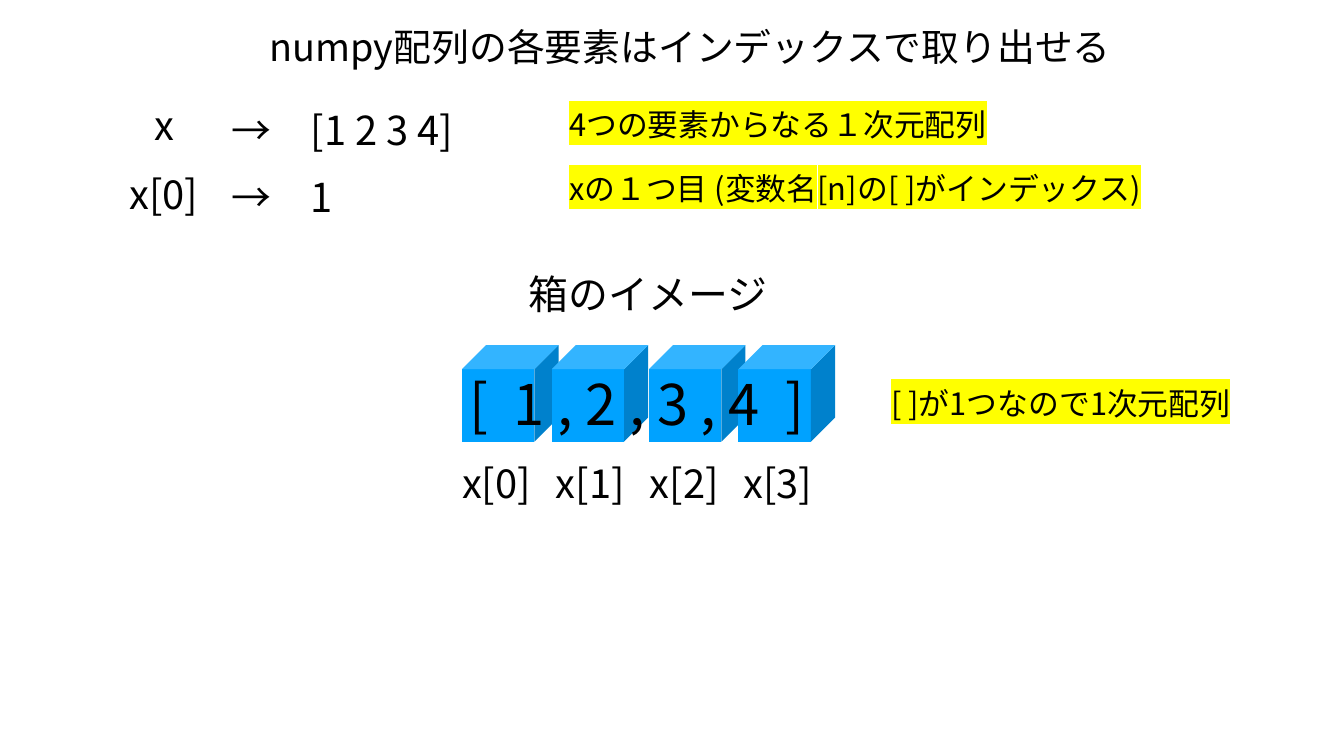
import dataclasses

import lxml.etree
import pptx
import pptx.dml.color
import pptx.enum.shapes
import pptx.enum.text
import pptx.oxml.ns
import pptx.util

PX = 12700


@dataclasses.dataclass(frozen=True)
class Theme:
    """Hold the colours, font and type sizes."""
    font: str = "Noto Sans CJK JP"
    ink: str = "000000"
    mark: str = "FFFF00"
    cube: str = "00A2FF"
    title: int = 54
    body: int = 57
    note: int = 44
    big: int = 80


THEME = Theme()


def color(code):
    """Turn a hex code into a colour."""
    return pptx.dml.color.RGBColor.from_string(code)


def scale(*sides):
    """Turn px lengths into EMU."""
    return [side * PX for side in sides]


def add_text(slide, text, rect, size, tight=False, center=False):
    """Add a text box and return its run."""
    box = slide.shapes.add_textbox(*scale(*rect))
    frame = box.text_frame
    frame.text = text
    frame.word_wrap = True
    frame.auto_size = pptx.enum.text.MSO_AUTO_SIZE.SHAPE_TO_FIT_TEXT
    if tight:
        frame.vertical_anchor = pptx.enum.text.MSO_ANCHOR.MIDDLE
        frame.margin_left = frame.margin_right = 4 * PX
        frame.margin_top = frame.margin_bottom = 4 * PX
    para = frame.paragraphs[0]
    if center:
        para.alignment = pptx.enum.text.PP_ALIGN.CENTER
    run = para.runs[0]
    run.font.size = pptx.util.Pt(size)
    run.font.color.rgb = color(THEME.ink)
    run.font.name = THEME.font
    east = lxml.etree.SubElement(run.font._element, pptx.oxml.ns.qn("a:ea"))
    east.set("typeface", THEME.font)
    return run


def add_note(slide, text, rect):
    """Add a note with a marker highlight."""
    run = add_text(slide, text, rect, THEME.note, tight=True)
    mark = lxml.etree.Element(pptx.oxml.ns.qn("a:highlight"))
    tint = lxml.etree.SubElement(mark, pptx.oxml.ns.qn("a:srgbClr"))
    tint.set("val", THEME.mark)
    run.font._element.find(pptx.oxml.ns.qn("a:latin")).addprevious(mark)


def add_cube(slide, left):
    """Add one box of the array."""
    kind = pptx.enum.shapes.MSO_SHAPE.CUBE
    cube = slide.shapes.add_shape(kind, *scale(left, 493, 138, 138))
    cube.shadow.inherit = False
    cube.fill.solid()
    cube.fill.fore_color.rgb = color(THEME.cube)
    cube.line.fill.background()


def main():
    """Build the slide and save it."""
    deck = pptx.Presentation()
    deck.slide_width, deck.slide_height = scale(1920, 1080)
    slide = deck.slides.add_slide(deck.slide_layouts[6])

    add_text(slide, "numpy配列の各要素はインデックスで取り出せる",
             (241, 30, 1490, 73), THEME.title, tight=True, center=True)

    add_text(slide, "x", (217, 140, 100, 77), THEME.body, tight=True)
    add_text(slide, "→　[1 2 3 4]", (323, 147, 456, 76), THEME.body)
    add_note(slide, "4つの要素からなる１次元配列", (809, 147, 622, 61))

    add_text(slide, "x[0]", (181, 238, 140, 77), THEME.body, tight=True)
    add_text(slide, "→　1", (323, 243, 231, 76), THEME.body)
    add_note(slide, "xの１つ目 (変数名[n]の[ ]がインデックス)",
             (809, 238, 894, 61))

    add_text(slide, "箱のイメージ", (693, 382, 466, 76), THEME.body,
             center=True)
    for index, left in enumerate((660, 788, 927, 1055)):
        add_cube(slide, left)
        add_text(slide, f"x[{index}]", (653 + 134 * index, 652, 161, 76),
                 THEME.body)
    add_text(slide, "[  1 , 2 , 3 , 4  ]", (593, 523, 634, 105), THEME.big,
             tight=True, center=True)
    add_note(slide, "[ ]が1つなので1次元配列", (1269, 545, 534, 61))

    deck.save("out.pptx")


if __name__ == "__main__":
    main()
